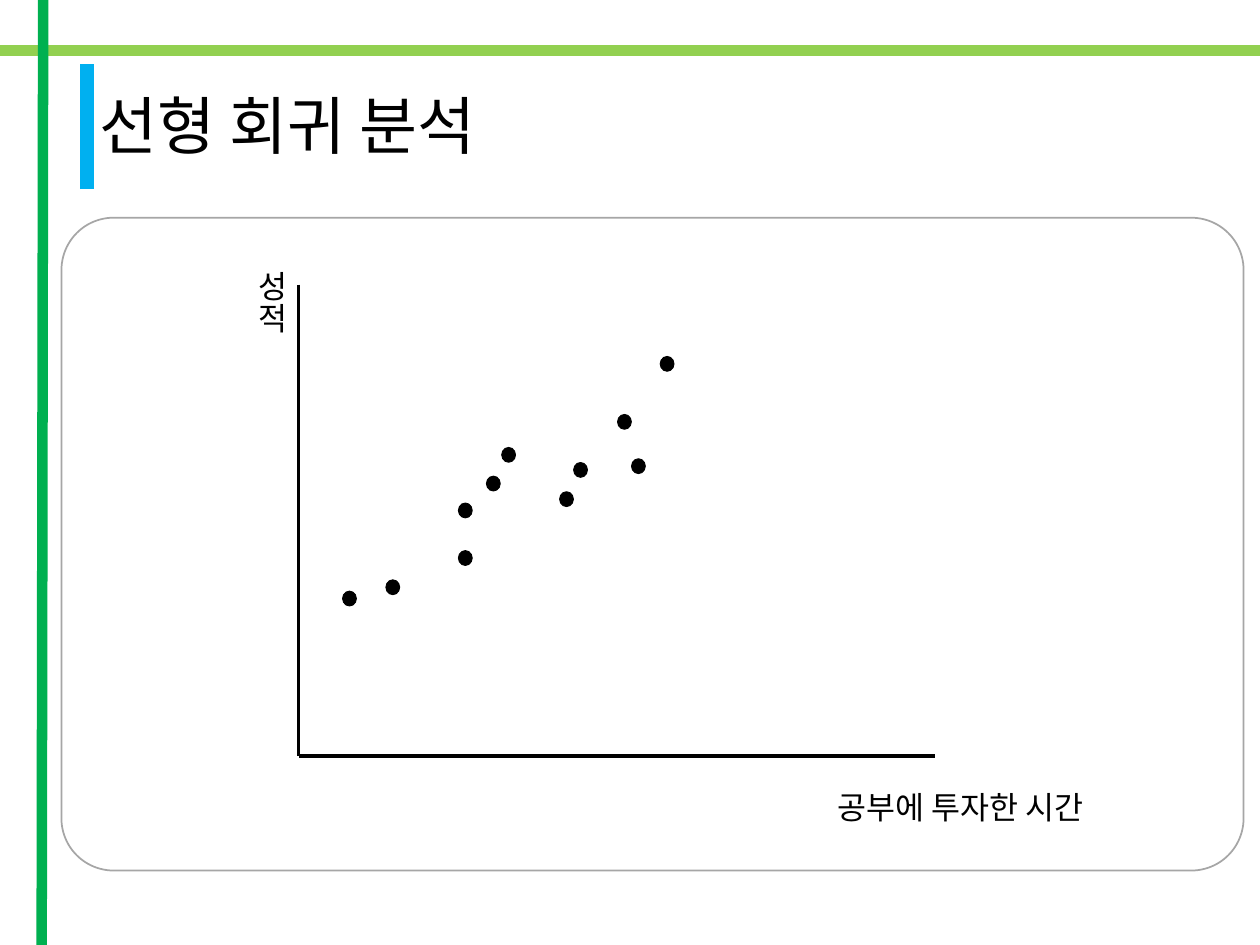
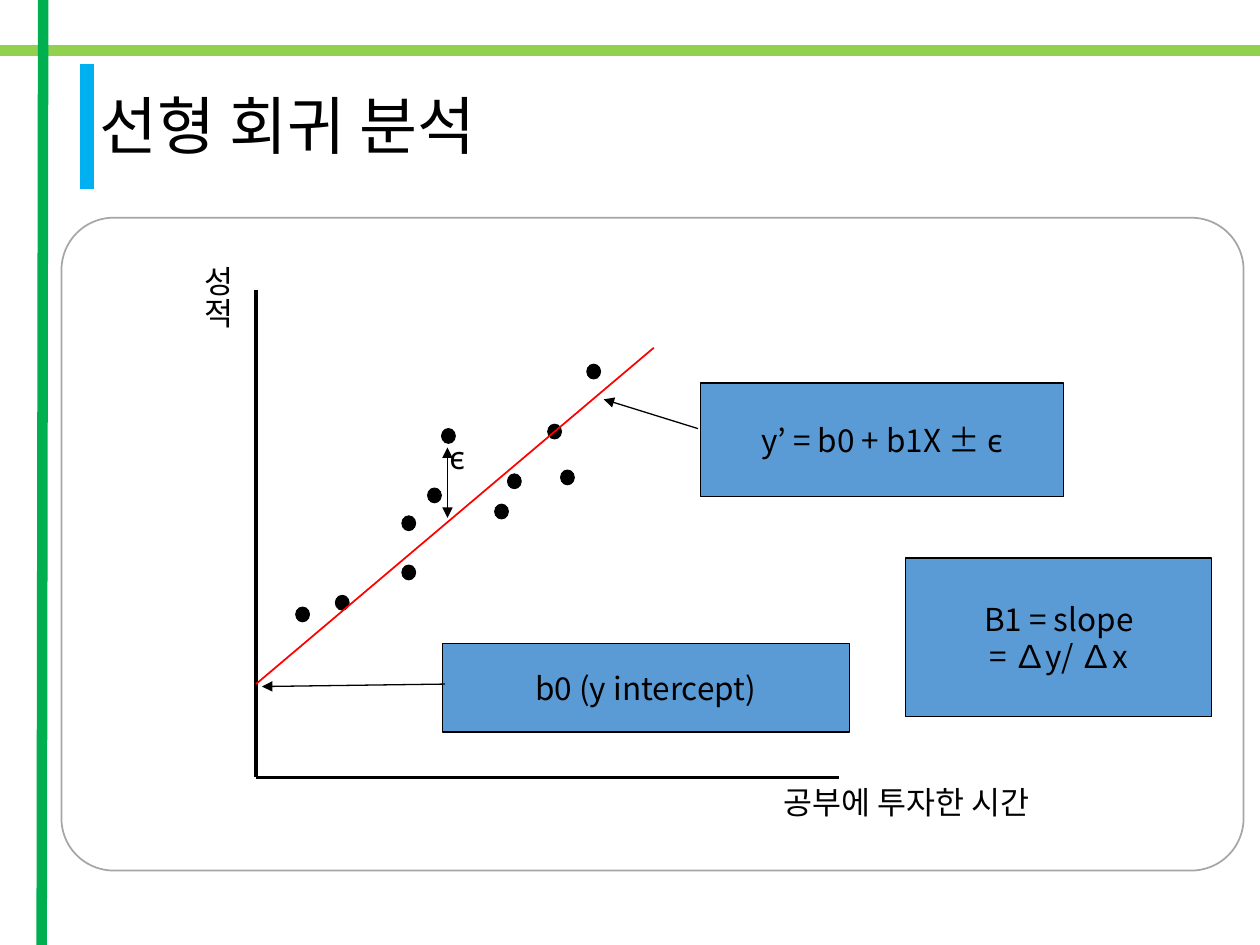
import pptx
import pptx.dml.color
import pptx.enum.shapes
import pptx.enum.text
import pptx.oxml.ns
import pptx.util
from lxml import etree

Cm = pptx.util.Cm
Pt = pptx.util.Pt
hex_color = pptx.dml.color.RGBColor.from_string
qn = pptx.oxml.ns.qn
SHAPE = pptx.enum.shapes.MSO_SHAPE
ALIGN = pptx.enum.text.PP_ALIGN
ANCHOR = pptx.enum.text.MSO_ANCHOR

FONT = "Noto Sans CJK KR"
BLACK, GRAY, RED = "000000", "A6A6A6", "FF0000"
LIME, GREEN, SKY, BLUE = "92D050", "00B050", "00B0F0", "5B9BD5"
TITLE = "선형 회귀 분석"
X_LABEL, Y_LABEL = "공부에 투자한 시간", "성적"
DOT_WIDTH, DOT_HEIGHT = 0.28, 0.3


def write_text(box, text, size=18, align=ALIGN.LEFT, anchor=ANCHOR.TOP,
               spacing=1.0, wrap=True, vertical=False):
    """Fill a box with one paragraph for each line of text."""
    frame = box.text_frame
    frame.word_wrap = wrap
    frame.vertical_anchor = anchor
    if vertical:
        frame._txBody.bodyPr.set("vert", "eaVert")
    for index, line in enumerate(text.split("\n")):
        para = frame.add_paragraph() if index else frame.paragraphs[0]
        para.alignment = align
        para.line_spacing = spacing
        span = para.add_run()
        span.text = line
        span.font.size = Pt(size)
        span.font.name = FONT
        span.font.color.rgb = hex_color(BLACK)
        etree.SubElement(span.font._element, qn("a:ea"), typeface=FONT)


def draw_line(page, start, end, color=BLACK, width=0.75, arrows=()):
    """Draw a straight line; arrows may hold "headEnd" and "tailEnd"."""
    line = page.shapes.add_connector(
        pptx.enum.shapes.MSO_CONNECTOR.STRAIGHT,
        Cm(start[0]), Cm(start[1]), Cm(end[0]), Cm(end[1]))
    line.line.color.rgb = hex_color(color)
    line.line.width = Pt(width)
    for arrow in arrows:
        etree.SubElement(line.line._get_or_add_ln(), qn(f"a:{arrow}"), type="triangle")
    etree.SubElement(line._element.spPr, qn("a:effectLst"))


deck = pptx.Presentation()
deck.slide_width, deck.slide_height = Cm(25.4), Cm(19.05)

# Dots as percentages of the axis lengths (study time, grade)
dots = [(26.2, 42), (14.8, 35.8), (30.6, 57.8), (42.1, 54.5), (44.3, 60.7),
        (53.4, 61.5), (51.2, 70.9), (26.2, 52.1), (8, 33.4), (57.9, 83.2)]
plots = [
    {"left": 6.02, "top": 5.74, "width": 12.83, "height": 9.5,
     "outlier": (33, 63.9), "x_label": (16.64, 15.77), "y_label": (4.72, 5.21)},
    {"left": 5.16, "top": 5.84, "width": 11.76, "height": 9.83,
     "outlier": (33, 70), "x_label": (15.54, 15.67), "y_label": (3.63, 5.11)},
]

for plot in plots:
    page = deck.slides.add_slide(deck.slide_layouts[6])

    # Shared frame and title
    draw_line(page, (0, 1.02), (25.4, 1.02), LIME, 6)
    draw_line(page, (0.87, 0), (0.84, 19.05), GREEN, 6)
    draw_line(page, (1.75, 3.81), (1.75, 1.3), SKY, 8)
    card = page.shapes.add_shape(SHAPE.ROUNDED_RECTANGLE,
                                 Cm(1.24), Cm(4.39), Cm(23.83), Cm(13.16))
    card.adjustments[0] = 0.08
    card.shadow.inherit = False
    card.fill.background()
    card.line.color.rgb = hex_color(GRAY)
    card.line.width = Pt(1)
    title = page.shapes.add_textbox(Cm(1.75), Cm(1.22), Cm(21.9), Cm(2.77))
    write_text(title, TITLE, size=36, anchor=ANCHOR.MIDDLE, spacing=0.9)

    # Axes and dots
    left, bottom = plot["left"], plot["top"] + plot["height"]
    draw_line(page, (left, plot["top"]), (left, bottom), width=2)
    draw_line(page, (left, bottom), (left + plot["width"], bottom), width=2)
    for time, grade in dots + [plot["outlier"]]:
        dot = page.shapes.add_shape(
            SHAPE.OVAL,
            Cm(left + plot["width"] * time / 100 - DOT_WIDTH / 2),
            Cm(bottom - plot["height"] * grade / 100 - DOT_HEIGHT / 2),
            Cm(DOT_WIDTH), Cm(DOT_HEIGHT))
        dot.shadow.inherit = False
        dot.fill.solid()
        dot.fill.fore_color.rgb = hex_color(BLACK)
        dot.line.color.rgb = hex_color(BLACK)
        dot.line.width = Pt(0.5)

    x_left, x_top = plot["x_label"]
    x_label = page.shapes.add_textbox(Cm(x_left), Cm(x_top), Cm(7.01), Cm(1.02))
    write_text(x_label, X_LABEL)
    y_left, y_top = plot["y_label"]
    y_label = page.shapes.add_textbox(Cm(y_left), Cm(y_top), Cm(1.27), Cm(5.44))
    write_text(y_label, Y_LABEL, vertical=True)

# Regression line and its explanations on the last page
draw_line(page, (5.16, 13.79), (13.18, 7.01), RED, 1)
callouts = [
    ("y’ = b0 + b1X ± є", 14.12, 7.72, 7.32, 2.29),
    ("b0 (y intercept)", 8.92, 12.98, 8.2, 1.78),
    ("B1 = slope\n= ∆y/ ∆x", 18.26, 11.25, 6.17, 3.2),
]
for text, left, top, width, height in callouts:
    callout = page.shapes.add_shape(SHAPE.RECTANGLE, Cm(left), Cm(top), Cm(width), Cm(height))
    callout.shadow.inherit = False
    callout.fill.solid()
    callout.fill.fore_color.rgb = hex_color(BLUE)
    callout.line.color.rgb = hex_color(BLACK)
    callout.line.width = Pt(0.75)
    write_text(callout, text, align=ALIGN.CENTER, anchor=ANCHOR.MIDDLE, wrap=False)

draw_line(page, (14.07, 8.64), (12.17, 8.05), arrows=["tailEnd"])
draw_line(page, (8.97, 13.79), (5.28, 13.84), arrows=["tailEnd"])
draw_line(page, (9.02, 9.02), (9.02, 10.44), arrows=["headEnd", "tailEnd"])
error_label = page.shapes.add_textbox(Cm(8.81), Cm(8.71), Cm(1.04), Cm(1.47))
write_text(error_label, "є")

deck.save("out.pptx")
